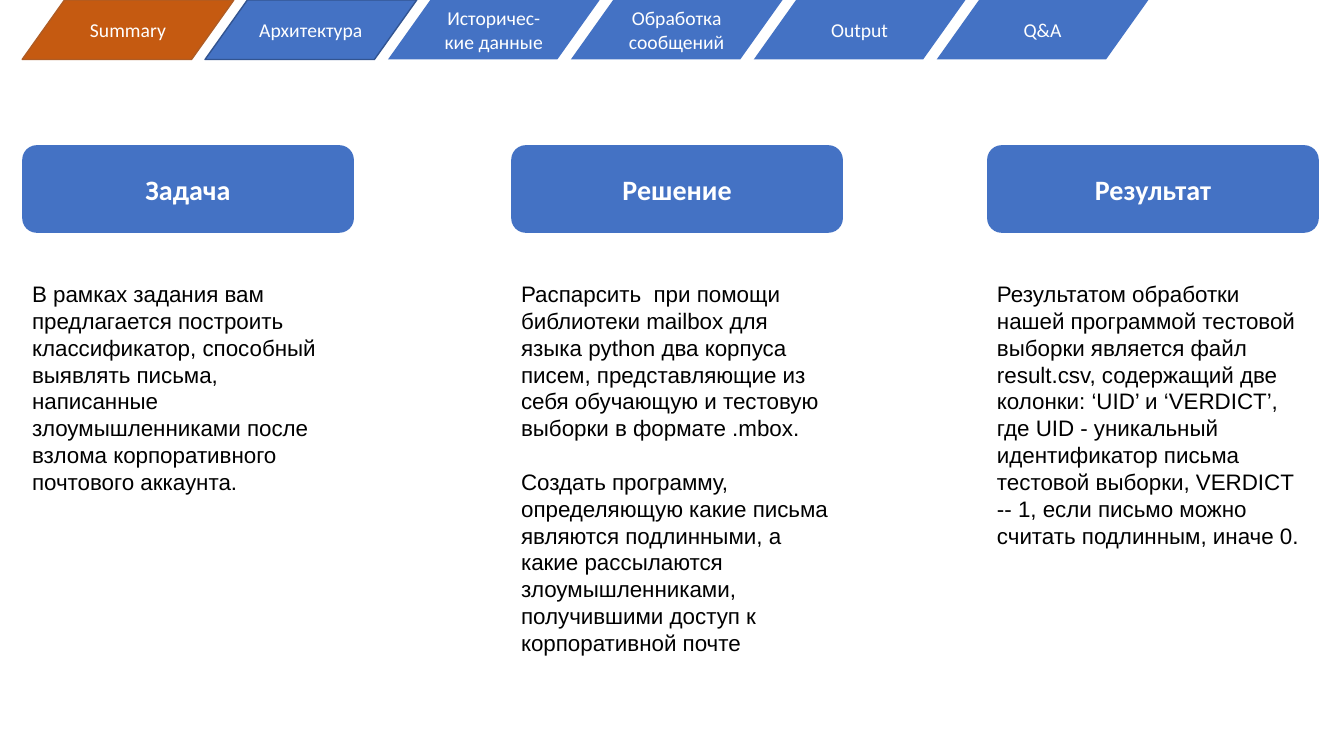
from pptx import Presentation
from pptx.dml.color import RGBColor
from pptx.enum.shapes import MSO_SHAPE
from pptx.enum.text import MSO_ANCHOR, MSO_AUTO_SIZE, PP_ALIGN
from pptx.util import Inches, Pt

COLORS = {
    "blue": "4472C4",
    "navy": "325491",
    "orange": "C55A11",
    "rust": "AF5C24",
    "white": "FFFFFF",
    "black": "000000",
}

TABS = [
    ("Summary", "orange", "rust"),
    ("Архитектура", "blue", "navy"),
    ("Историчес-кие данные", "blue", None),
    ("Обработка сообщений", "blue", None),
    ("Output", "blue", None),
    ("Q&A", "blue", None),
]

COLUMNS = [
    (0.22, 1.99, "Задача", [
        "В рамках задания вам предлагается построить классификатор, "
        "способный выявлять письма, написанные злоумышленниками после "
        "взлома корпоративного почтового аккаунта.",
    ]),
    (5.07, 3.87, "Решение", [
        "Распарсить  при помощи библиотеки mailbox для языка python два "
        "корпуса писем, представляющие из себя обучающую и тестовую "
        "выборки в формате .mbox.",
        "Создать программу, определяющую какие письма являются "
        "подлинными, а какие рассылаются злоумышленниками, получившими "
        "доступ к корпоративной почте",
    ]),
    (9.79, 2.79, "Результат", [
        "Результатом обработки нашей программой тестовой выборки является "
        "файл result.csv, содержащий две колонки: ‘UID’ и ‘VERDICT’, где "
        "UID - уникальный идентификатор письма тестовой выборки, "
        "VERDICT -- 1, если письмо можно считать подлинным, иначе 0.",
    ]),
]

LEFT, LAST = 0.22, 9.29
STEP = (LAST - LEFT) / (len(TABS) - 1)


def color(name):
    return RGBColor.from_string(COLORS[name])


def style(par, face, size, tint, bold=False):
    par.font.name = face
    par.font.size = Pt(size)
    par.font.color.rgb = color(tint)
    par.font.bold = bold


def add_box(slide, kind, area, text, size, fill, edge=None, bold=False):
    box = slide.shapes.add_shape(kind, *map(Inches, area))
    box.shadow.inherit = False
    box.fill.solid()
    box.fill.fore_color.rgb = color(fill)
    if edge:
        box.line.color.rgb = color(edge)
        box.line.width = Pt(1)
    else:
        box.line.fill.background()
    frame = box.text_frame
    frame.word_wrap = True
    frame.vertical_anchor = MSO_ANCHOR.MIDDLE
    par = frame.paragraphs[0]
    par.text = text
    par.alignment = PP_ALIGN.CENTER
    style(par, "Calibri", size, "white", bold)


def add_body(slide, area, texts):
    frame = slide.shapes.add_textbox(*map(Inches, area)).text_frame
    frame.word_wrap = True
    frame.auto_size = MSO_AUTO_SIZE.SHAPE_TO_FIT_TEXT
    for i, text in enumerate(texts):
        par = frame.add_paragraph() if i else frame.paragraphs[0]
        par.text = text
        style(par, "Arial", 16, "black")
        if i:
            par.space_before = Pt(19)


def main():
    deck = Presentation()
    deck.slide_width = Inches(13.33)
    deck.slide_height = Inches(7.5)
    slide = deck.slides.add_slide(deck.slide_layouts[6])

    for i, (text, fill, edge) in enumerate(TABS):
        area = (LEFT + i * STEP, 0, 2.1, 0.59)
        add_box(slide, MSO_SHAPE.FLOWCHART_DATA, area, text, 14, fill, edge)

    for left, height, title, texts in COLUMNS:
        add_box(slide, MSO_SHAPE.FLOWCHART_ALTERNATE_PROCESS,
                (left, 1.44, 3.29, 0.87), title, 20, "blue", bold=True)
        add_body(slide, (left, 2.73, 3.26, height), texts)

    deck.save("out.pptx")


if __name__ == "__main__":
    main()
